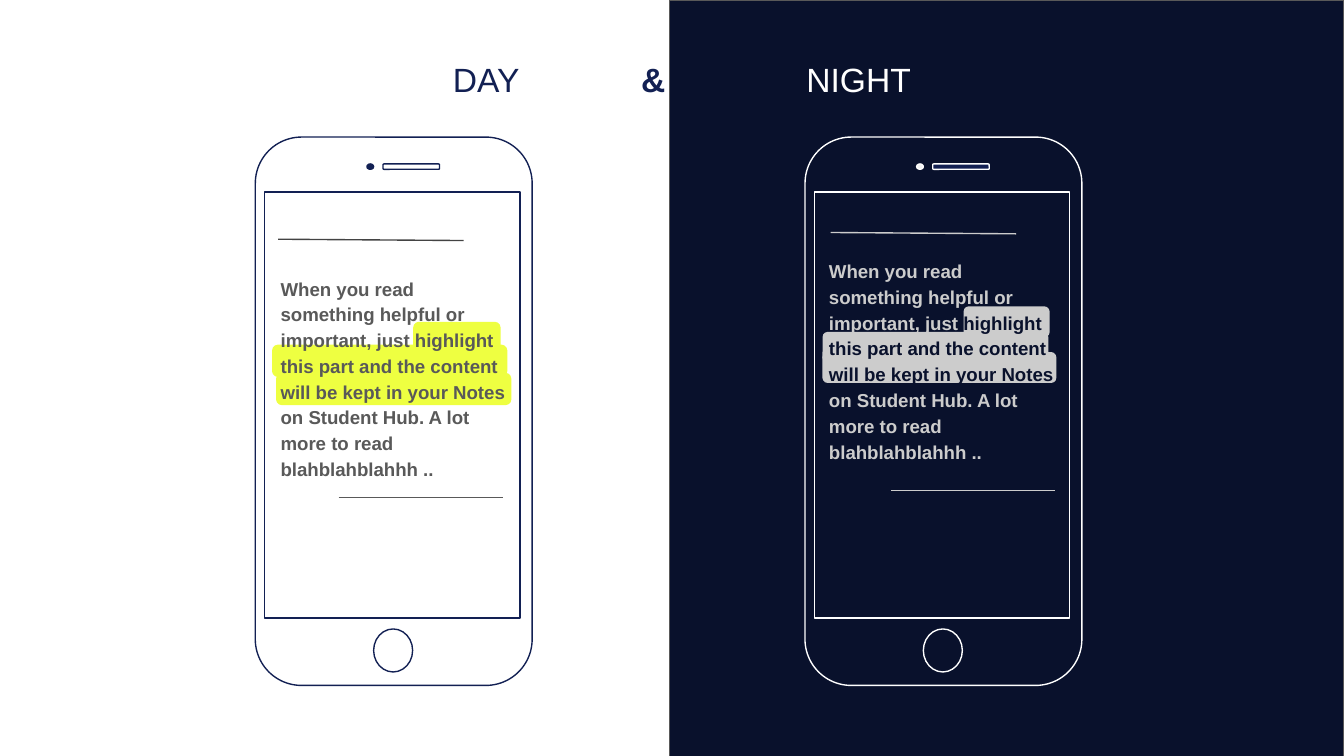
from dataclasses import dataclass
from typing import Optional

from lxml import etree
from pptx import Presentation
from pptx import util as u
from pptx.dml import color
from pptx.enum import shapes, text
from pptx.oxml import ns

NAVY = "122053"
MIDNIGHT = "09112C"
WHITE = "FFFFFF"
YELLOW = "EEFF41"
SILVER = "CCCCCC"
GRAY = "595959"
CORNER = 0.167
LEAD = "When you read something helpful or important, just "
MARKED = "highlight this part and the content will be kept in your Notes"
REST = " on Student Hub. A lot more to read blahblahblahhh .."


@dataclass
class Box:
    left: float
    top: float
    width: float
    height: float

    def lengths(self) -> list:
        return [u.Inches(n) for n in (self.left, self.top, self.width, self.height)]


@dataclass
class Rule:
    start: tuple
    end: tuple
    ink: str


@dataclass
class Phone:
    left: float
    ink: str
    lens: str
    earpiece: Optional[str]
    highlight: str
    highlight_line: Optional[str]
    highlights: list
    rules: list
    passage: Box
    text_ink: str
    marked_ink: str


def rgb(value: str) -> color.RGBColor:
    return color.RGBColor.from_string(value)


def add_box(slide, kind, box: Box, fill: Optional[str] = None, line: Optional[str] = None):
    shape = slide.shapes.add_shape(kind, *box.lengths())
    shape.shadow.inherit = False
    if kind == shapes.MSO_SHAPE.ROUNDED_RECTANGLE:
        shape.adjustments[0] = CORNER
    if fill:
        shape.fill.solid()
        shape.fill.fore_color.rgb = rgb(fill)
    else:
        shape.fill.background()
    if line:
        shape.line.color.rgb = rgb(line)
        shape.line.width = u.Pt(0.75)
    else:
        shape.line.fill.background()
    return shape


def add_rule(slide, rule: Rule) -> None:
    points = [u.Inches(n) for n in (*rule.start, *rule.end)]
    connector = slide.shapes.add_connector(shapes.MSO_CONNECTOR.STRAIGHT, *points)
    connector.line.color.rgb = rgb(rule.ink)
    connector.line.width = u.Pt(0.75)
    etree.SubElement(connector._element.spPr, ns.qn("a:effectLst"))


def add_run(paragraph, content: str, *, size: float, ink: str, bold: bool = False) -> None:
    run = paragraph.add_run()
    run.text = content
    run.font.name = "Arial"
    run.font.size = u.Pt(size)
    run.font.bold = bold
    run.font.color.rgb = rgb(ink)


def prepare_frame(shape):
    frame = shape.text_frame
    frame.word_wrap = True
    frame.auto_size = text.MSO_AUTO_SIZE.NONE
    frame.vertical_anchor = text.MSO_ANCHOR.TOP
    frame.margin_left = frame.margin_right = u.Inches(0.1)
    frame.margin_top = frame.margin_bottom = u.Inches(0.1)
    paragraph = frame.paragraphs[0]
    paragraph.alignment = text.PP_ALIGN.LEFT
    return paragraph


def add_title(slide) -> None:
    title = slide.shapes.title
    title.left, title.top, title.width, title.height = Box(3.27, 0.34, 3.91, 0.45).lengths()
    slide.shapes._spTree.append(title._element)
    paragraph = prepare_frame(title)
    paragraph.line_spacing = 1.0
    paragraph.space_before = u.Pt(0)
    tabs = etree.SubElement(paragraph._p.get_or_add_pPr(), ns.qn("a:tabLst"))
    for position in (1.4, 2.63):
        etree.SubElement(tabs, ns.qn("a:tab"), pos=str(u.Inches(position)), algn="l")
    add_run(paragraph, "DAY", size=18, ink=NAVY)
    add_run(paragraph, "\t&\t", size=18, ink=NAVY, bold=True)
    add_run(paragraph, "NIGHT", size=18, ink=WHITE)


def add_phone(slide, phone: Phone) -> None:
    rounded = shapes.MSO_SHAPE.ROUNDED_RECTANGLE
    oval = shapes.MSO_SHAPE.OVAL
    left = phone.left
    add_box(slide, rounded, Box(left, 1.02, 2.06, 4.08), line=phone.ink)
    add_box(slide, shapes.MSO_SHAPE.RECTANGLE, Box(left + 0.07, 1.43, 1.9, 3.17), line=phone.ink)
    add_box(slide, oval, Box(left + 0.88, 4.68, 0.29, 0.32), line=phone.ink)
    add_box(slide, rounded, Box(left + 0.95, 1.22, 0.42, 0.04), phone.earpiece, phone.ink)
    add_box(slide, oval, Box(left + 0.83, 1.22, 0.05, 0.04), phone.lens, phone.ink)
    for box in phone.highlights:
        add_box(slide, rounded, box, phone.highlight, phone.highlight_line)
    for rule in phone.rules:
        add_rule(slide, rule)
    passage = slide.shapes.add_textbox(*phone.passage.lengths())
    paragraph = prepare_frame(passage)
    paragraph.line_spacing = 1.15
    paragraph.space_after = u.Pt(16)
    if phone.text_ink == phone.marked_ink:
        add_run(paragraph, LEAD + MARKED + REST, size=10, ink=phone.text_ink, bold=True)
        return
    for content, ink in ((LEAD, phone.text_ink), (MARKED, phone.marked_ink), (REST, phone.text_ink)):
        add_run(paragraph, content, size=10, ink=ink, bold=True)


DAY = Phone(
    left=1.9, ink=NAVY, lens=NAVY, earpiece=None,
    highlight=YELLOW, highlight_line=YELLOW,
    highlights=[Box(3.08, 2.4, 0.64, 0.23), Box(2.03, 2.57, 1.74, 0.23), Box(2.06, 2.78, 1.74, 0.23)],
    rules=[Rule((2.07, 1.78), (3.45, 1.79), "434343"), Rule((2.52, 3.7), (3.74, 3.7), GRAY)],
    passage=Box(1.99, 1.94, 1.9, 1.76), text_ink=GRAY, marked_ink=GRAY,
)
NIGHT = Phone(
    left=5.99, ink=WHITE, lens="F3F3F3", earpiece=NAVY,
    highlight=SILVER, highlight_line=None,
    highlights=[Box(7.17, 2.28, 0.64, 0.23), Box(6.12, 2.47, 1.68, 0.23), Box(6.12, 2.62, 1.74, 0.23)],
    rules=[Rule((6.18, 1.73), (7.56, 1.74), SILVER), Rule((6.63, 3.65), (7.85, 3.65), SILVER)],
    passage=Box(6.07, 1.81, 1.9, 1.76), text_ink=SILVER, marked_ink=MIDNIGHT,
)


def main() -> None:
    presentation = Presentation()
    presentation.slide_width = u.Inches(10)
    presentation.slide_height = presentation.slide_width * 9 // 16
    slide = presentation.slides.add_slide(presentation.slide_layouts[5])
    add_box(slide, shapes.MSO_SHAPE.RECTANGLE, Box(4.98, 0, 5.02, 5.63), MIDNIGHT, GRAY)
    add_title(slide)
    for phone in (DAY, NIGHT):
        add_phone(slide, phone)
    presentation.save("out.pptx")


if __name__ == "__main__":
    main()
